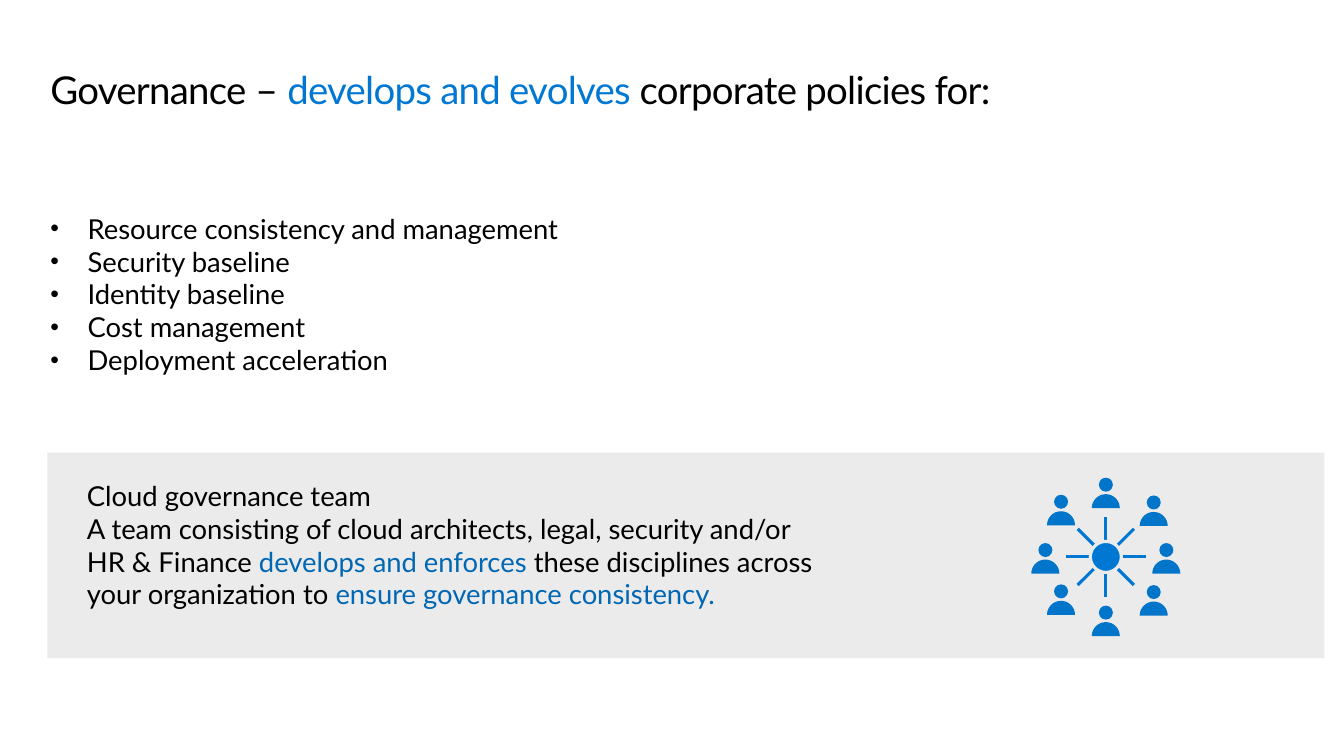
from dataclasses import dataclass
from math import cos, pi, sin

from lxml import etree
from pptx import Presentation
from pptx.dml.color import RGBColor
from pptx.enum.shapes import MSO_CONNECTOR, MSO_SHAPE
from pptx.enum.text import MSO_ANCHOR, MSO_AUTO_SIZE, PP_ALIGN
from pptx.oxml.ns import qn
from pptx.util import Pt

RECT, OVAL = MSO_SHAPE.RECTANGLE, MSO_SHAPE.OVAL
STRAIGHT = MSO_CONNECTOR.STRAIGHT
TOP, LEFT, NO_FIT = MSO_ANCHOR.TOP, PP_ALIGN.LEFT, MSO_AUTO_SIZE.NONE


@dataclass(frozen=True)
class Theme:
    font: str = "Lato"
    text: str = "000000"
    title_accent: str = "0078D3"
    body_accent: str = "0067B4"
    person: str = "0075C9"
    panel: str = "EBEBEB"
    title_size: float = 27.4
    dash_size: float = 28
    body_size: float = 19.6
    title_leading: float = 31.4
    body_leading: float = 23.5
    line: float = 2.25


THEME = Theme()
DISCIPLINES = [
    "Resource consistency and management",
    "Security baseline",
    "Identity baseline",
    "Cost management",
    "Deployment acceleration",
]
# Centre of each person, measured from the hub
PEOPLE = [(0, -45.7), (34.2, -33), (43.2, 1), (34.2, 31),
          (0, 45.7), (-32, 30.5), (-43.2, 1), (-32, -33.5)]


def rgb(value):
    return RGBColor.from_string(value)


def place(sp, box, insets=(0, 0, 0, 0)):
    """Move a placeholder into box and set up its frame."""
    sp.left, sp.top, sp.width, sp.height = map(Pt, box)
    tf = sp.text_frame
    tf.word_wrap, tf.auto_size, tf.vertical_anchor = True, NO_FIT, TOP
    tf.margin_left, tf.margin_top, tf.margin_right, tf.margin_bottom = map(Pt, insets)
    return tf


def style_paragraph(p, leading, indent=0, bullet=None):
    pPr = p._p.get_or_add_pPr()
    pPr.set("marL", str(Pt(indent)))
    pPr.set("indent", str(-Pt(indent)))
    if bullet:
        etree.SubElement(pPr, qn("a:buSzPct")).set("val", "90000")
        etree.SubElement(pPr, qn("a:buChar")).set("char", bullet)
    else:
        etree.SubElement(pPr, qn("a:buNone"))
    p.alignment = LEFT
    p.line_spacing = Pt(leading)
    p.space_before = p.space_after = Pt(0)


def style_run(r, size, color):
    r.font.name, r.font.size = THEME.font, Pt(size)
    r.font.color.rgb = rgb(color)


def add_runs(p, parts):
    """Append (text, size, colour) runs; a newline becomes a line break."""
    for text, size, color in parts:
        for i, line in enumerate(text.split("\n")):
            if i:
                p.add_line_break()
            r = p.add_run()
            r.text = line
            style_run(r, size, color)


def fill_shape(sp, color, outline=None):
    sp.shadow.inherit = False
    sp.fill.solid()
    sp.fill.fore_color.rgb = rgb(color)
    if outline:
        sp.line.color.rgb = rgb(outline)
        sp.line.width = Pt(THEME.line)
    else:
        sp.line.fill.background()


def add_title(sp, box):
    p = place(sp, box).paragraphs[0]
    style_paragraph(p, THEME.title_leading)
    add_runs(p, [
        ("Governance ", THEME.title_size, THEME.text),
        ("– ", THEME.dash_size, THEME.text),
        ("develops and evolves ", THEME.title_size, THEME.title_accent),
        ("corporate policies for:", THEME.title_size, THEME.text),
    ])
    for r in p.runs:
        r._r.get_or_add_rPr().set("spc", "-50")


def add_disciplines(sp, box):
    tf = place(sp, box)
    tf.text = "\n".join(DISCIPLINES)
    for p in tf.paragraphs:
        style_paragraph(p, THEME.body_leading, 26.6, "•")
        style_run(p.runs[0], THEME.body_size, THEME.text)


def add_team_text(sp, box):
    tf = place(sp, box, (0, 7.2, 11.5, 7.2))
    size, text, accent = THEME.body_size, THEME.text, THEME.body_accent
    tf.text = "Cloud governance team"
    heading, description = tf.paragraphs[0], tf.add_paragraph()
    for p in (heading, description):
        style_paragraph(p, THEME.body_leading)
    style_run(heading.runs[0], size, text)
    add_runs(description, [
        ("A team consisting of cloud architects, legal, security and/or\n"
         "HR & Finance ", size, text),
        ("develops and enforces ", size, accent),
        ("these disciplines across\nyour organization to ", size, text),
        ("ensure governance consistency.", size, accent),
    ])


def add_circle(shapes, x, y, d):
    return shapes.add_shape(OVAL, Pt(x - d / 2), Pt(y - d / 2), Pt(d), Pt(d))


def add_person(shapes, x, y, head=10, radius=10, height=21.8):
    """Draw a round head over half-disc shoulders, centred on x, y."""
    fill_shape(add_circle(shapes, x, y - height / 2 + head / 2, head), THEME.person)
    base, steps = y + height / 2, 24
    arc = [(Pt(x - radius * cos(pi * i / steps)), Pt(base - radius * sin(pi * i / steps)))
           for i in range(steps + 1)]
    fb = shapes.build_freeform(*arc[0])
    fb.add_line_segments(arc[1:], close=True)
    fill_shape(fb.convert_to_shape(), THEME.person)


def add_team_icon(slide, box):
    left, top, width, height = box
    cx, cy = left + width / 2, top + height / 2
    shapes = slide.shapes.add_group_shape().shapes
    for dx, dy in PEOPLE:
        add_person(shapes, cx + dx, cy + dy)
    reach = 28.4
    for i in range(4):
        dx, dy = reach * cos(pi * i / 4), reach * sin(pi * i / 4)
        spoke = shapes.add_connector(STRAIGHT, Pt(cx - dx), Pt(cy - dy),
                                     Pt(cx + dx), Pt(cy + dy))
        spoke.line.color.rgb = rgb(THEME.title_accent)
        spoke.line.width = Pt(THEME.line)
        etree.SubElement(spoke._element.spPr, qn("a:effectLst"))
    fill_shape(add_circle(shapes, cx, cy, 22.2), THEME.title_accent, THEME.panel)


def add_team_panel(slide, text_sp, box):
    left, top, width, height = box
    panel = slide.shapes.add_shape(RECT, *map(Pt, box))
    fill_shape(panel, THEME.panel)
    # Keep the text placeholder in front of the panel
    panel._element.addnext(text_sp._element)
    add_team_text(text_sp, (left + 28.3, top + 11.5, 568, 110))
    add_team_icon(slide, (left + 702.8, top + 18, 106.6, 113))


def main():
    prs = Presentation()
    prs.slide_width, prs.slide_height = Pt(960), Pt(540)
    slide = prs.slides.add_slide(prs.slide_layouts[3])
    title, disciplines, team = slide.placeholders
    add_title(title, (36, 49, 890, 31.7))
    add_disciplines(disciplines, (36, 151.2, 549.4, 157))
    add_team_panel(slide, team, (33.8, 323.3, 912.2, 146.9))
    prs.save("out.pptx")


if __name__ == "__main__":
    main()
